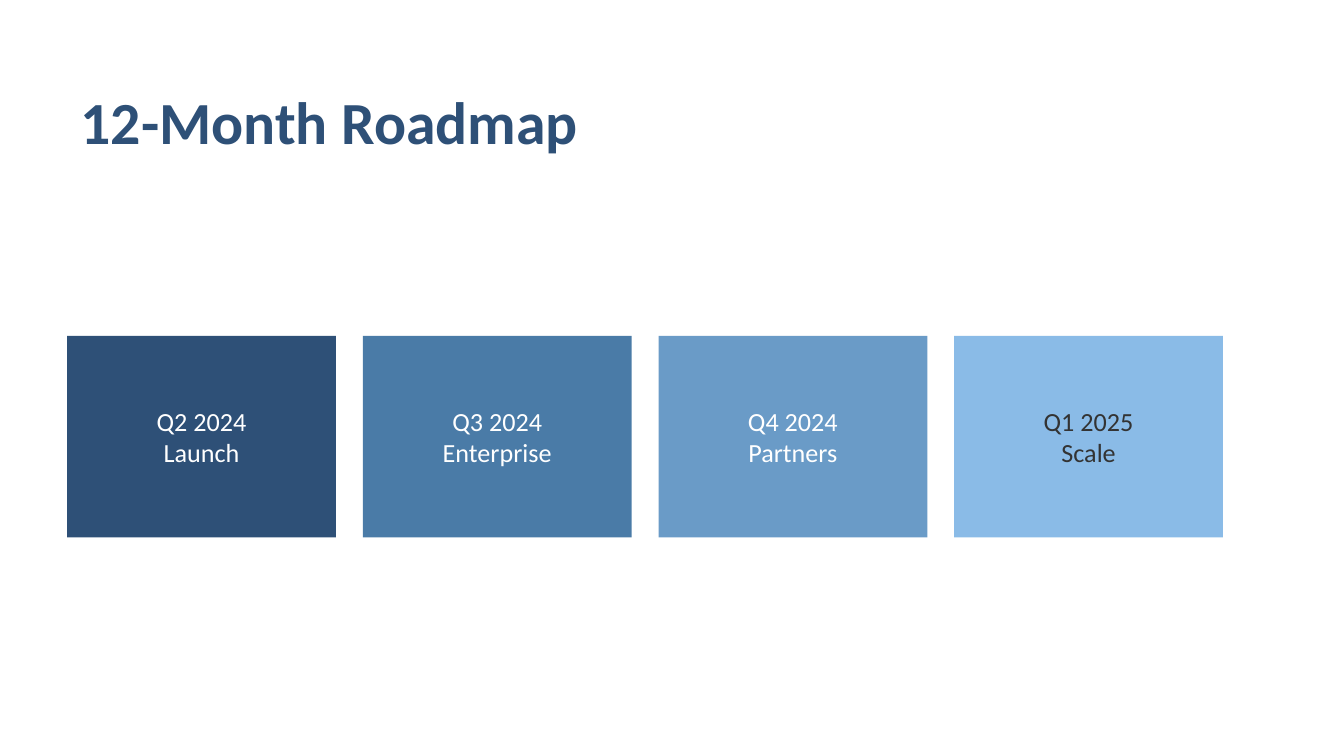
from dataclasses import dataclass

import pptx
import pptx.dml.color
import pptx.enum.shapes
import pptx.enum.text
import pptx.slide
import pptx.util

Inches = pptx.util.Inches
ALIGN = pptx.enum.text.PP_ALIGN
MIDDLE = pptx.enum.text.MSO_ANCHOR.MIDDLE

FONT = "Calibri"
NAVY = "2E5077"
WHITE = "FFFFFF"
CHARCOAL = "333333"

MARGIN = 0.5
QUARTER_TOP = 2.5
QUARTER_WIDTH = 2
QUARTER_HEIGHT = 1.5
QUARTER_GAP = 0.2


@dataclass(frozen=True)
class Quarter:
    period: str
    milestone: str
    fill: str
    text_color: str = WHITE


QUARTERS = [
    Quarter("Q2 2024", "Launch", NAVY),
    Quarter("Q3 2024", "Enterprise", "4A7BA7"),
    Quarter("Q4 2024", "Partners", "6A9BC7"),
    Quarter("Q1 2025", "Scale", "8ABBE7", CHARCOAL),
]


def rgb(hex_color: str) -> pptx.dml.color.RGBColor:
    return pptx.dml.color.RGBColor.from_string(hex_color)


def write_text(shape, text: str, size: float, color: str,
               align: ALIGN, bold: bool = False) -> None:
    """Set the shape's text, one paragraph per line, centred vertically."""
    frame = shape.text_frame
    frame.text = text
    frame.word_wrap = True
    frame.auto_size = pptx.enum.text.MSO_AUTO_SIZE.NONE
    frame.vertical_anchor = MIDDLE
    for paragraph in frame.paragraphs:
        paragraph.alignment = align
        for run in paragraph.runs:
            run.font.name = FONT
            run.font.size = pptx.util.Pt(size)
            run.font.bold = bold
            run.font.color.rgb = rgb(color)


def add_title(slide: pptx.slide.Slide, text: str) -> None:
    title = slide.shapes.title
    title.left, title.top = Inches(MARGIN), Inches(0.5)
    title.width, title.height = Inches(9), Inches(0.8)
    write_text(title, text, 32, NAVY, ALIGN.LEFT, bold=True)


def add_quarter(slide: pptx.slide.Slide, quarter: Quarter, left: float) -> None:
    block = slide.shapes.add_shape(
        pptx.enum.shapes.MSO_SHAPE.RECTANGLE,
        Inches(left), Inches(QUARTER_TOP),
        Inches(QUARTER_WIDTH), Inches(QUARTER_HEIGHT),
    )
    block.shadow.inherit = False
    block.fill.solid()
    block.fill.fore_color.rgb = rgb(quarter.fill)
    block.line.fill.background()
    write_text(block, f"{quarter.period}\n{quarter.milestone}", 14,
               quarter.text_color, ALIGN.CENTER)


def main() -> None:
    deck = pptx.Presentation()
    deck.slide_width = Inches(10)
    deck.slide_height = Inches(10 * 9 / 16)
    title_only = deck.slide_layouts.get_by_name("Title Only")
    roadmap = deck.slides.add_slide(title_only)
    roadmap.background.fill.solid()
    roadmap.background.fill.fore_color.rgb = rgb(WHITE)

    add_title(roadmap, "12-Month Roadmap")
    for index, quarter in enumerate(QUARTERS):
        add_quarter(roadmap, quarter,
                    MARGIN + index * (QUARTER_WIDTH + QUARTER_GAP))

    deck.save("out.pptx")


if __name__ == "__main__":
    main()
